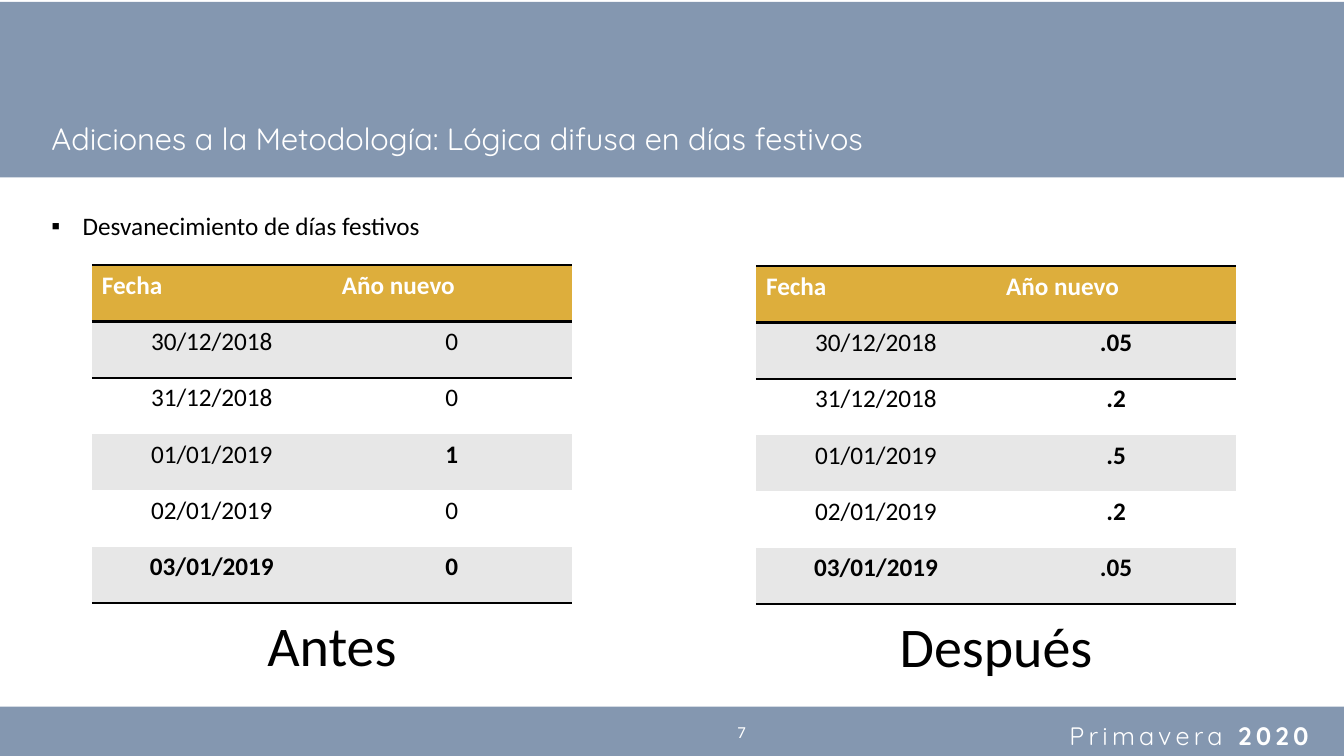
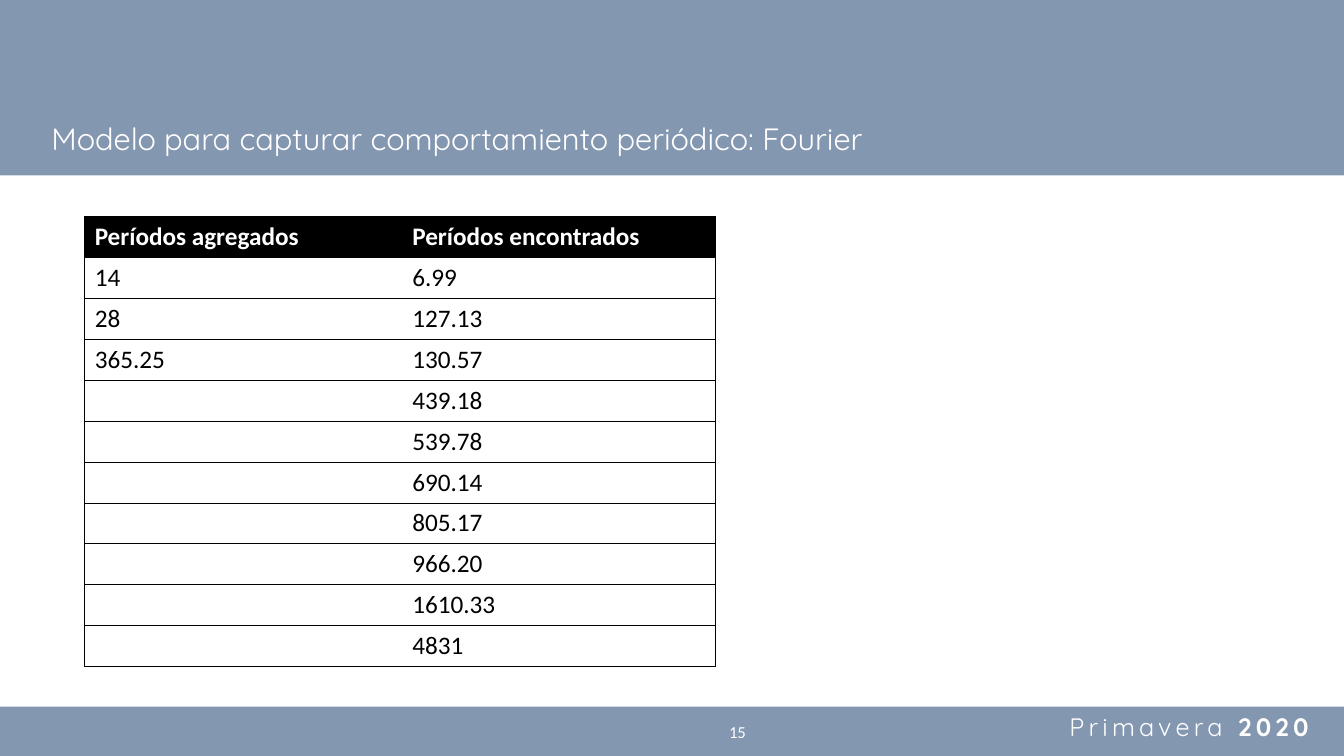
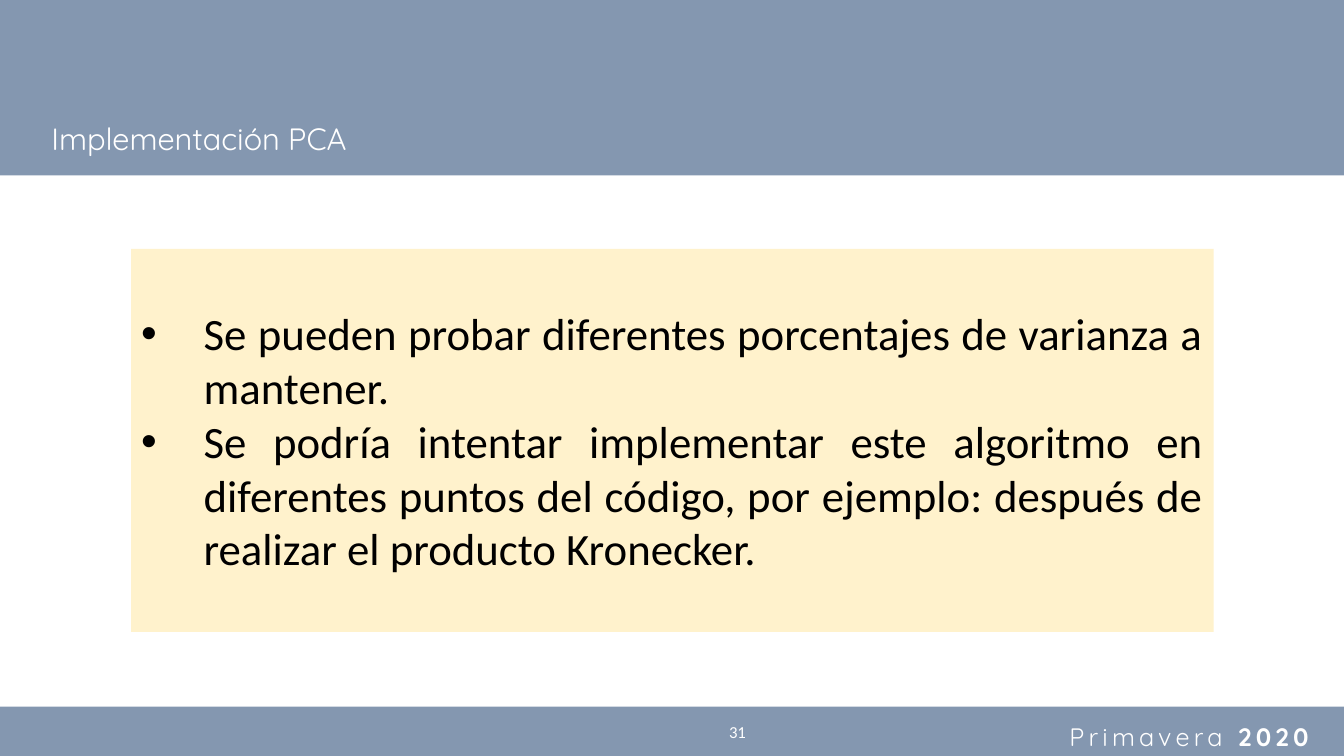
from lxml.etree import SubElement
from pptx import Presentation
from pptx.dml.color import RGBColor
from pptx.enum.shapes import MSO_SHAPE
from pptx.enum.text import MSO_ANCHOR, MSO_AUTO_SIZE, PP_ALIGN
from pptx.oxml.ns import qn
from pptx.util import Inches, Pt

HUES = {"band": "8497B0", "gold": "DDAE3C", "gray": "E7E7E7",
        "cream": "FFF2CC", "ink": "000000", "paper": "FFFFFF"}
TEXT, HEAD = "Calibri", "Quicksand"
PLAIN = "{2D5ABB26-0587-4C30-8999-92F81FD0307C}"  # table style without grid
LIST, BARE = 1, 5  # template layouts: title and content, title only


def hue(name):
    return RGBColor.from_string(HUES[name])


class Deck:
    """Shared style and the current slide; lengths are percent of its size."""

    def __init__(self):
        self.prs = Presentation()
        self.prs.slide_width, self.prs.slide_height = Inches(13.33), Inches(7.5)
        self.slide = None

    def wide(self, share):
        return round(self.prs.slide_width * share / 100)

    def high(self, share):
        return round(self.prs.slide_height * share / 100)

    def area(self, x, y, w, h):
        return self.wide(x), self.high(y), self.wide(w), self.high(h)

    def place(self, shape, *area):
        shape.left, shape.top, shape.width, shape.height = self.area(*area)

    def style(self, para, size, color="ink", face=TEXT, align=PP_ALIGN.LEFT, bold=False):
        para.alignment = align
        para.space_before = Pt(0)
        font = para.font
        font.name, font.size, font.bold = face, Pt(size), bold
        font.color.rgb = hue(color)

    def frame(self, shape, anchor=MSO_ANCHOR.TOP, wrap=True):
        frame = shape.text_frame
        frame.auto_size = MSO_AUTO_SIZE.NONE
        frame.word_wrap, frame.vertical_anchor = wrap, anchor
        return frame

    # Slide with bands, title, page number and footer
    def page(self, layout, title, number, foot, top=0):
        self.slide = self.prs.slides.add_slide(self.prs.slide_layouts[layout])
        head = self.slide.shapes.title
        for y, h in ((top, 23.2), (93.47, 6.53)):
            head.element.addprevious(self.band(y, h).element)
        self.place(head, 3.08, 15.2, 82, 6.27)
        frame = self.frame(head)
        frame.text = title
        self.style(frame.paragraphs[0], 22, "paper", HEAD)
        self.label(number, 33.75, 94.13, 22.5, 5.33, 12, "paper",
                   align=PP_ALIGN.RIGHT, anchor=MSO_ANCHOR.MIDDLE)
        self.footer(foot)

    def band(self, y, h):
        band = self.slide.shapes.add_shape(MSO_SHAPE.RECTANGLE, *self.area(0, y, 100, h))
        band.shadow.inherit = False
        band.fill.solid()
        band.fill.fore_color.rgb = hue("band")
        band.line.fill.background()
        return band

    def footer(self, y):
        box = self.label("", 78.83, y, 19.88, 5.2, 18, "paper", face=HEAD)
        para = box.text_frame.paragraphs[0]
        for word, bold in (("Primavera ", False), ("2020", True)):
            run = para.add_run()
            run.text, run.font.bold = word, bold
        for props in box.element.iter(qn("a:rPr")):
            props.set("spc", "300")

    def label(self, text, x, y, w, h, size, color="ink", face=TEXT,
              align=PP_ALIGN.LEFT, anchor=MSO_ANCHOR.TOP):
        box = self.slide.shapes.add_textbox(*self.area(x, y, w, h))
        frame = self.frame(box, anchor)
        frame.text = text
        self.style(frame.paragraphs[0], size, color, face, align)
        return box

    # Bulleted list in the body placeholder
    def bullets(self, items, area, size, mark, indent, fill=None,
                align=PP_ALIGN.LEFT, anchor=MSO_ANCHOR.TOP):
        body = self.slide.placeholders[1]
        self.place(body, *area)
        if fill:
            body.fill.solid()
            body.fill.fore_color.rgb = hue(fill)
        frame = self.frame(body, anchor)
        frame.text = "\n".join(items)
        for para in frame.paragraphs:
            self.style(para, size, align=align)
        for props in body.element.iter(qn("a:pPr")):
            props.set("marL", str(Inches(indent)))
            props.set("indent", str(-Inches(indent)))
            bullet = props.makeelement(qn("a:buChar"), {"char": mark})
            props.find(qn("a:defRPr")).addprevious(bullet)

    # Table: fills are (header, odd rows, even rows)
    def table(self, rows, x, y, cols, step, fills, edges, align=PP_ALIGN.LEFT, bold=()):
        last = len(rows) - 1
        shape = self.slide.shapes.add_table(
            len(rows), len(cols), *self.area(x, y, sum(cols), step * len(rows)))
        next(shape.element.iter(qn("a:tableStyleId"))).text = PLAIN
        grid = shape.table
        grid.horz_banding = False
        for col, share in zip(grid.columns, cols):
            col.width = self.wide(share)
        for r, row in enumerate(rows):
            grid.rows[r].height = self.high(step)
            for c, text in enumerate(row):
                cell = grid.cell(r, c)
                cell.text = text
                self.style(cell.text_frame.paragraphs[0], 18,
                           "ink" if r else "paper",
                           align=align if r else PP_ALIGN.LEFT,
                           bold=r == 0 or (r, c) in bold)
                cell.fill.solid()
                cell.fill.fore_color.rgb = hue(fills[0] if r == 0 else fills[2 - r % 2])
        for i, props in enumerate(shape.element.iter(qn("a:tcPr"))):
            r, c = divmod(i, len(cols))
            self.border(props, *edges(r, c, last))

    def border(self, props, sides, width):
        for spot, side in enumerate(sides):
            line = props.makeelement(qn("a:ln" + side), {"w": str(Pt(width))})
            paint = SubElement(line, qn("a:solidFill"))
            SubElement(paint, qn("a:srgbClr"), val=HUES["ink"])
            props.insert(spot, line)


# Border rules: sides in the order L, R, T, B, and width
def rules(r, c, last):
    return {0: "TB", 1: "T", last: "B"}.get(r, ""), 2


def lines(r, c, last):
    return "LR"[c] + "TB", 0.5


def main():
    deck = Deck()

    # Holidays before and after
    deck.page(LIST, "Adiciones a la Metodología: Lógica difusa en días festivos",
              "7", 94.67, top=0.27)
    deck.bullets(["Desvanecimiento de días festivos"], (3.08, 27.2, 60, 5.33),
                 18, "▪", 0.31)
    dates = ("30/12/2018", "31/12/2018", "01/01/2019", "02/01/2019", "03/01/2019")
    cases = (
        ("Antes", 6.83, 35.07, ("0", "0", "1", "0", "0"), {(3, 1), (5, 0), (5, 1)}),
        ("Después", 56.25, 35.2, (".05", ".2", ".5", ".2", ".05"),
         {(5, 0)} | {(r, 1) for r in range(1, 6)}),
    )
    for name, x, y, values, bold in cases:
        rows = [("Fecha", "Año nuevo"), *zip(dates, values)]
        deck.table(rows, x, y, (17.86, 17.86), 7.45, ("gold", "gray", "paper"),
                   rules, PP_ALIGN.CENTER, bold)
        deck.label(name, x, y + 45.07, 35.72, 10.27, 40, align=PP_ALIGN.CENTER)

    # Fourier periods
    deck.page(BARE, "Modelo para capturar comportamiento periódico: Fourier", "15", 93.47)
    added = ["14", "28", "365.25"]
    found = ["6.99", "127.13", "130.57", "439.18", "539.78", "690.14",
             "805.17", "966.20", "1610.33", "4831"]
    added += [""] * (len(found) - len(added))
    rows = [("Períodos agregados", "Períodos encontrados"), *zip(added, found)]
    deck.table(rows, 6.3, 28.67, (23.63, 23.33), 5.4, ("ink", "paper", "paper"), lines)

    # PCA ideas
    deck.page(LIST, "Implementación PCA", "31", 94.8)
    deck.bullets(
        ["Se pueden probar diferentes porcentajes de varianza a mantener.",
         "Se podría intentar implementar este algoritmo en diferentes puntos del "
         "código, por ejemplo: después de realizar el producto Kronecker."],
        (9.75, 32.93, 80.55, 50.67), 32, "•", 0.62, "cream",
        PP_ALIGN.JUSTIFY, MSO_ANCHOR.MIDDLE)

    deck.prs.save("out.pptx")


if __name__ == "__main__":
    main()
